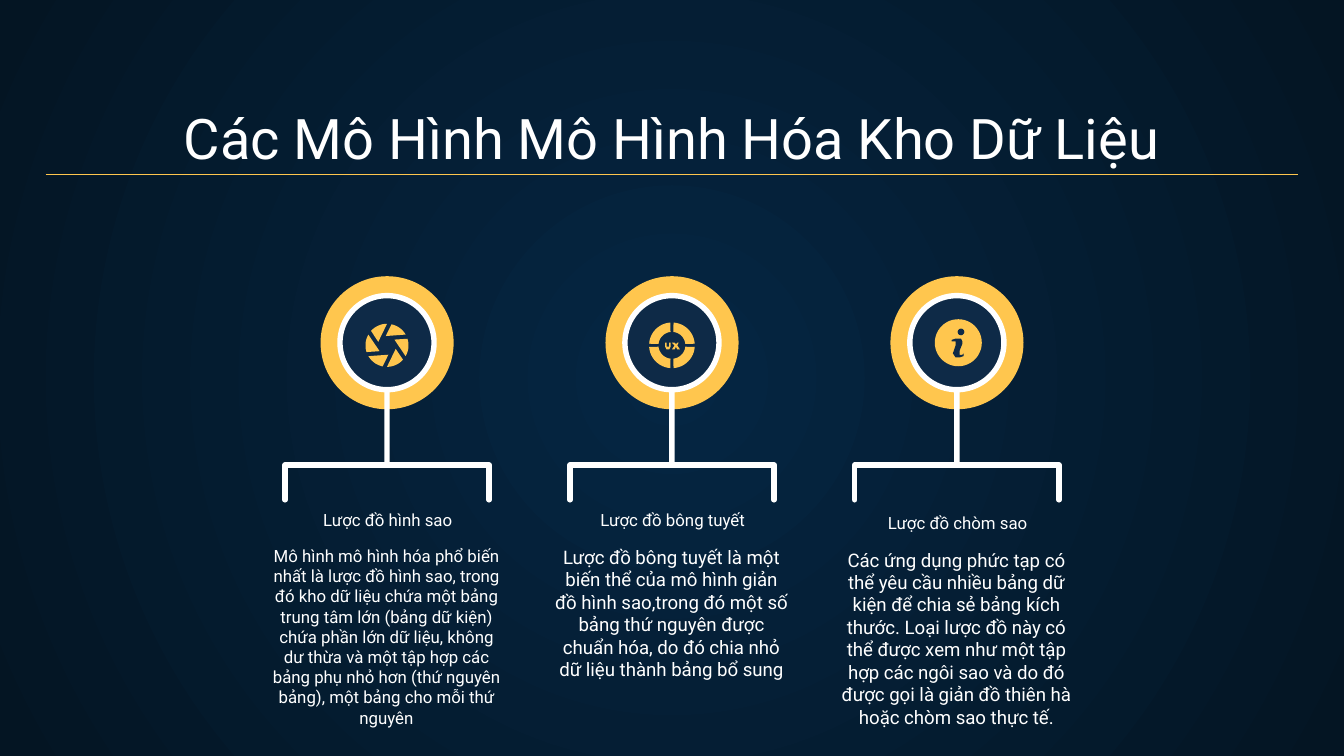
import math

import pptx
import pptx.dml.color
import pptx.enum.shapes
import pptx.enum.text
import pptx.oxml
import pptx.oxml.ns
import pptx.util

Inches = pptx.util.Inches
qn = pptx.oxml.ns.qn
SHAPE = pptx.enum.shapes.MSO_SHAPE
ANCHOR = pptx.enum.text.MSO_ANCHOR

FONT = "Roboto"
COLORS = {
    "center": "052643",
    "edge": "041523",
    "white": "FFFFFF",
    "gold": "FFC64E",
    "navy": "0E2A47",
}
BADGE_Y = 2.55
ICON_Y = 2.57

SCHEMAS = [
    ("Lược đồ hình sao",
     "Mô hình mô hình hóa phổ biến nhất là lược đồ hình sao, trong đó kho dữ liệu "
     "chứa một bảng trung tâm lớn (bảng dữ kiện) chứa phần lớn dữ liệu, không dư thừa "
     "và một tập hợp các bảng phụ nhỏ hơn (thứ nguyên bảng), một bảng cho mỗi thứ nguyên",
     9, 0),
    ("Lược đồ bông tuyết",
     "Lược đồ bông tuyết là một biến thể của mô hình giản đồ hình sao,trong đó một số "
     "bảng thứ nguyên được chuẩn hóa, do đó chia nhỏ dữ liệu thành bảng bổ sung",
     10, 0),
    ("Lược đồ chòm sao",
     "Các ứng dụng phức tạp có thể yêu cầu nhiều bảng dữ kiện để chia sẻ bảng kích "
     "thước. Loại lược đồ này có thể được xem như một tập hợp các ngôi sao và do đó "
     "được gọi là giản đồ thiên hà hoặc chòm sao thực tế.",
     10, 0.02),
]

LETTER_U = [(-0.05, -0.02), (-0.05, 0.01), (-0.04, 0.03), (-0.02, 0.03), (-0.01, 0.01),
            (-0.01, -0.02), (-0.02, -0.02), (-0.02, 0.01), (-0.04, 0.01), (-0.04, -0.02)]
LETTER_X = [(0, -0.02), (0.02, 0), (0, 0.03), (0.02, 0.03), (0.03, 0.01), (0.04, 0.03),
            (0.06, 0.03), (0.04, 0), (0.05, -0.02), (0.04, -0.02), (0.03, -0.01), (0.02, -0.02)]
LETTER_I = [(-0.05, -0.02), (-0.02, -0.03), (0.02, -0.03), (0.03, -0.01), (0.03, 0.01),
            (0.01, 0.06), (0.01, 0.09), (0.03, 0.09), (0.04, 0.08), (0.04, 0.1),
            (0.01, 0.11), (-0.02, 0.11), (-0.04, 0.08), (-0.02, 0.02), (-0.02, -0.01),
            (-0.05, -0.01)]


def rgb(name):
    return pptx.dml.color.RGBColor.from_string(COLORS[name])


def paint(sp, color):
    sp.shadow.inherit = False
    sp.fill.solid()
    sp.fill.fore_color.rgb = rgb(color)
    sp.line.fill.background()
    return sp


def add_preset(s, kind, cx, cy, width, height, color):
    sp = s.shapes.add_shape(kind, Inches(cx - width / 2), Inches(cy - height / 2),
                            Inches(width), Inches(height))
    return paint(sp, color)


def add_circle(s, cx, cy, diameter, color):
    return add_preset(s, SHAPE.OVAL, cx, cy, diameter, diameter, color)


def add_outline(s, cx, cy, points, close=True):
    emu = [(Inches(cx + x), Inches(cy + y)) for x, y in points]
    builder = s.shapes.build_freeform(*emu[0])
    builder.add_line_segments(emu[1:], close=close)
    return builder.convert_to_shape()


def add_text(s, left, top, width, height, text, size, anchor):
    box = s.shapes.add_textbox(Inches(left), Inches(top), Inches(width), Inches(height))
    tf = box.text_frame
    tf.word_wrap = True
    tf.vertical_anchor = anchor
    tf.margin_left = tf.margin_right = tf.margin_top = tf.margin_bottom = Inches(0.1)
    tf.text = text
    p = tf.paragraphs[0]
    p.alignment = pptx.enum.text.PP_ALIGN.CENTER
    r = p.runs[0]
    r.font.name = FONT
    r.font.size = pptx.util.Pt(size)
    r.font.color.rgb = rgb("white")


def add_rule(s, x1, x2, y):
    line = s.shapes.add_connector(pptx.enum.shapes.MSO_CONNECTOR.STRAIGHT,
                                  Inches(x1), Inches(y), Inches(x2), Inches(y))
    line.line.color.rgb = rgb("gold")
    line.line.width = pptx.util.Pt(0.75)
    line.element.spPr.append(pptx.oxml.parse_xml(
        '<a:effectLst %s/>' % pptx.oxml.ns.nsdecls("a")))


def set_background(s):
    fill = s.background.fill
    fill.gradient()
    for stop, color in zip(fill.gradient_stops, ("center", "edge")):
        stop.color.rgb = rgb(color)
    grad = s.element.find(".//" + qn("a:gradFill"))
    for lin in grad.findall(qn("a:lin")):
        grad.remove(lin)
    grad.append(pptx.oxml.parse_xml(
        '<a:path %s path="circle"><a:fillToRect l="50000" t="50000" r="50000" b="50000"/></a:path>'
        % pptx.oxml.ns.nsdecls("a")))


def add_bracket(s, cx):
    half = 0.76
    sp = add_outline(s, cx, 3.46, [(-half, 0.26), (-half, 0), (half, 0), (half, 0.26)],
                     close=False)
    sp.shadow.inherit = False
    sp.fill.background()
    sp.line.color.rgb = rgb("white")
    sp.line.width = Inches(0.04)
    ln = sp.element.spPr.find(qn("a:ln"))
    ln.set("cap", "rnd")
    ln.append(pptx.oxml.parse_xml('<a:round %s/>' % pptx.oxml.ns.nsdecls("a")))


def add_badge(s, cx):
    add_bracket(s, cx)
    add_circle(s, cx, BADGE_Y, 0.99, "gold")
    add_preset(s, SHAPE.ROUNDED_RECTANGLE, cx, 2.98, 0.04, 1, "white").adjustments[0] = 0.5
    disc = add_circle(s, cx, BADGE_Y, 0.7, "navy")
    disc.line.color.rgb = rgb("white")
    disc.line.width = Inches(0.04)


def arc(radius, start, end, steps=12):
    angles = [math.radians(start + (end - start) * i / steps) for i in range(steps + 1)]
    return [(radius * math.cos(a), radius * math.sin(a)) for a in angles]


def add_aperture_icon(s, cx):
    for turn in range(0, 360, 60):
        blade = arc(0.16, turn - 78, turn - 30) + arc(0.07, turn - 98, turn - 98, 1)
        paint(add_outline(s, cx, ICON_Y, blade), "gold")


def add_ux_icon(s, cx):
    for turn in range(0, 360, 90):
        quarter = arc(0.17, turn + 4, turn + 86) + arc(0.1, turn + 84, turn + 6)
        paint(add_outline(s, cx, ICON_Y, quarter), "gold")
    for letter in (LETTER_U, LETTER_X):
        paint(add_outline(s, cx, ICON_Y, letter), "gold")


def add_info_icon(s, cx):
    add_circle(s, cx + 0.01, BADGE_Y, 0.35, "gold")
    add_circle(s, cx + 0.03, 2.47, 0.05, "navy")
    paint(add_outline(s, cx + 0.01, BADGE_Y, LETTER_I), "navy")


def main():
    prs = pptx.Presentation()
    prs.slide_width = Inches(10)
    prs.slide_height = prs.slide_width * 9 // 16
    s = prs.slides.add_slide(prs.slide_layouts[6])
    set_background(s)
    add_text(s, 0.34, 0.71, 9.32, 0.66, "Các Mô Hình Mô Hình Hóa Kho Dữ Liệu", 30, ANCHOR.BOTTOM)
    add_rule(s, 0.34, 9.66, 1.3)
    icons = (add_aperture_icon, add_ux_icon, add_info_icon)
    for i, ((name, body, size, drop), add_icon) in enumerate(zip(SCHEMAS, icons)):
        cx = 2.88 + 2.12 * i
        add_badge(s, cx)
        add_icon(s, cx)
        add_text(s, cx - 1.13, 3.81 + drop, 2.27, 0.21, name, 9, ANCHOR.BOTTOM)
        add_text(s, cx - 0.98, 3.96 + drop, 1.95, 0.55, body, size, ANCHOR.TOP)
    prs.save("out.pptx")


if __name__ == "__main__":
    main()
